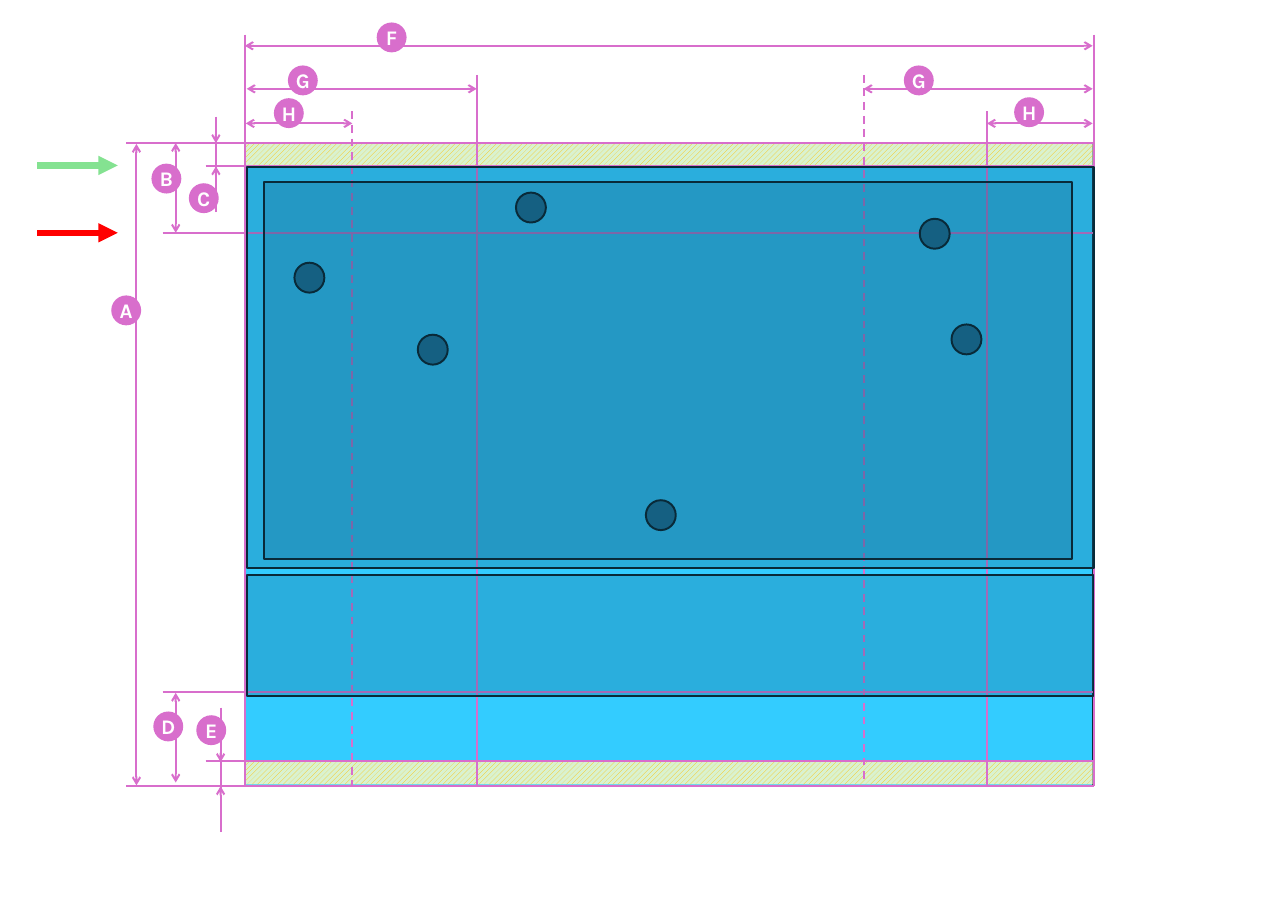
from lxml import etree
from pptx import Presentation
from pptx.dml.color import RGBColor
from pptx.enum import dml, shapes, text
from pptx.oxml.ns import qn
from pptx.util import Inches, Pt

PINK = RGBColor(0xD8, 0x6E, 0xCC)
SKY = RGBColor(0x33, 0xCC, 0xFF)
TEAL = RGBColor(0x15, 0x60, 0x82)
NAVY = RGBColor(0x09, 0x2A, 0x39)
AMBER = RGBColor(0xFF, 0xC0, 0x00)
PALE_GREEN = RGBColor(0xD9, 0xF2, 0xD0)
GREEN = RGBColor(0x84, 0xE2, 0x91)
RED = RGBColor(0xFF, 0x00, 0x00)
WHITE = RGBColor(0xFF, 0xFF, 0xFF)

LEFT, RIGHT, TOP, BOTTOM = 2.62, 11.7, 1.53, 8.41
WIDTH, STRIP_HEIGHT, DISC = 9.07, 0.25, 0.32
STRIP_TOPS = [TOP, 8.14]

# (start x, y) of lines that run to the right edge
HORIZONTAL_GUIDES = [(1.35, TOP), (1.35, BOTTOM), (2.2, 1.78), (1.74, 2.49),
                     (2.2, 8.14), (1.74, 7.4)]
# (x, start y, dashed) of lines that run to the bottom edge
VERTICAL_GUIDES = [(LEFT, 0.37, False), (RIGHT, 0.37, False), (5.1, 0.8, False),
                   (10.56, 1.19, False), (3.77, 1.19, True), (9.24, 0.8, True)]
# (x1, y1, x2, y2) with an arrowhead at both ends
DIMENSIONS = [(1.46, 1.54, 1.46, 8.4), (1.88, TOP, 1.88, 2.49),
              (1.88, 7.41, 1.88, 8.37), (LEFT, 0.49, 11.69, 0.49),
              (2.64, 0.95, 5.1, 0.95), (9.24, 0.95, 11.69, 0.95),
              (2.63, 1.32, 3.77, 1.32), (10.56, 1.32, 11.69, 1.32)]
# (x, start y, end y) with an arrowhead at the end
STRIP_POINTERS = [(2.31, 2.27, 1.78), (2.31, 1.25, TOP),
                  (2.36, 8.9, BOTTOM), (2.36, 7.88, 8.15)]
STRIP_STEMS = [(2.31, 1.25, 1.96), (2.36, 7.57, 8.44)]

BADGES = [("A", 1.19, 3.16), ("B", 1.62, 1.75), ("C", 2.02, 1.96), ("D", 1.64, 7.61),
          ("E", 2.1, 7.65), ("F", 4.03, 0.24), ("G", 3.08, 0.7), ("G", 9.67, 0.7),
          ("H", 2.93, 1.05), ("H", 10.85, 1.04)]
PANELS = [(2.64, 1.79, WIDTH, 4.29), (2.64, 6.15, 9.06, 1.3), (2.83, 1.95, 8.64, 4.03)]
HOLES = [(5.52, 2.06), (6.91, 5.35), (10.18, 3.47), (9.84, 2.34), (4.47, 3.58), (3.15, 2.81)]
SIDE_ARROWS = [(2.49, RED), (1.77, GREEN)]

prs = Presentation()
prs.slide_width, prs.slide_height = Inches(13.78), Inches(9.84)
slide = prs.slides.add_slide(prs.slide_layouts[6])


def add_shape(kind, x, y, w, h, fill=None, outline=None):
    sp = slide.shapes.add_shape(kind, Inches(x), Inches(y), Inches(w), Inches(h))
    sp.shadow.inherit = False
    if fill is not None:
        sp.fill.solid()
        sp.fill.fore_color.rgb = fill
    if outline is None:
        sp.line.fill.background()
    else:
        sp.line.color.rgb = outline
        sp.line.width = Pt(1.5)
    return sp


def add_rect(*args):
    return add_shape(shapes.MSO_SHAPE.RECTANGLE, *args)


def add_disc(x, y, *colours):
    return add_shape(shapes.MSO_SHAPE.OVAL, x, y, DISC, DISC, *colours)


def add_line(x1, y1, x2, y2, color=PINK, width=1.5, dashed=False, head=None, tail=None):
    """Draw a straight line; head and tail name the arrowheads at its start and end."""
    line = slide.shapes.add_connector(shapes.MSO_CONNECTOR.STRAIGHT, Inches(x1), Inches(y1),
                                      Inches(x2), Inches(y2))
    line.line.color.rgb = color
    line.line.width = Pt(width)
    if dashed:
        line.line.dash_style = dml.MSO_LINE.DASH
    ln = line.line._get_or_add_ln()
    for tag, arrow in (("a:headEnd", head), ("a:tailEnd", tail)):
        if arrow:
            etree.SubElement(ln, qn(tag), type=arrow)
    etree.SubElement(line._element.spPr, qn("a:effectLst"))


add_rect(LEFT, TOP, WIDTH, 6.88, SKY, NAVY)
for y in STRIP_TOPS:
    strip = add_rect(LEFT, y, WIDTH, STRIP_HEIGHT)
    strip.fill.patterned()
    strip.fill.pattern = dml.MSO_PATTERN.WIDE_UPWARD_DIAGONAL
    strip.fill.fore_color.rgb = AMBER
    strip.fill.back_color.rgb = PALE_GREEN

for x, y in HORIZONTAL_GUIDES:
    add_line(x, y, RIGHT, y)
for x, y, dashed in VERTICAL_GUIDES:
    add_line(x, y, x, BOTTOM, dashed=dashed)
for ends in DIMENSIONS:
    add_line(*ends, head="arrow", tail="arrow")
for x, start, end in STRIP_POINTERS:
    add_line(x, start, x, end, tail="arrow")
for x, start, end in STRIP_STEMS:
    add_line(x, start, x, end)

for letter, x, y in BADGES:
    tf = add_disc(x, y, PINK).text_frame
    tf.margin_left = tf.margin_right = tf.margin_top = tf.margin_bottom = 0
    tf.vertical_anchor = text.MSO_ANCHOR.MIDDLE
    tf.text = letter
    p = tf.paragraphs[0]
    p.alignment = text.PP_ALIGN.CENTER
    font = p.runs[0].font
    font.name, font.size, font.bold = "Karla", Pt(16), True
    font.color.rgb = WHITE

for box in PANELS:
    panel = add_rect(*box, TEAL, NAVY)
    color = panel._element.spPr.find(qn("a:solidFill"))[0]
    etree.SubElement(color, qn("a:alpha"), val="27000")
for x, y in HOLES:
    add_disc(x, y, TEAL, NAVY)
for y, color in SIDE_ARROWS:
    add_line(0.4, y, 1.26, y, color, 5, tail="triangle")

prs.save("out.pptx")
